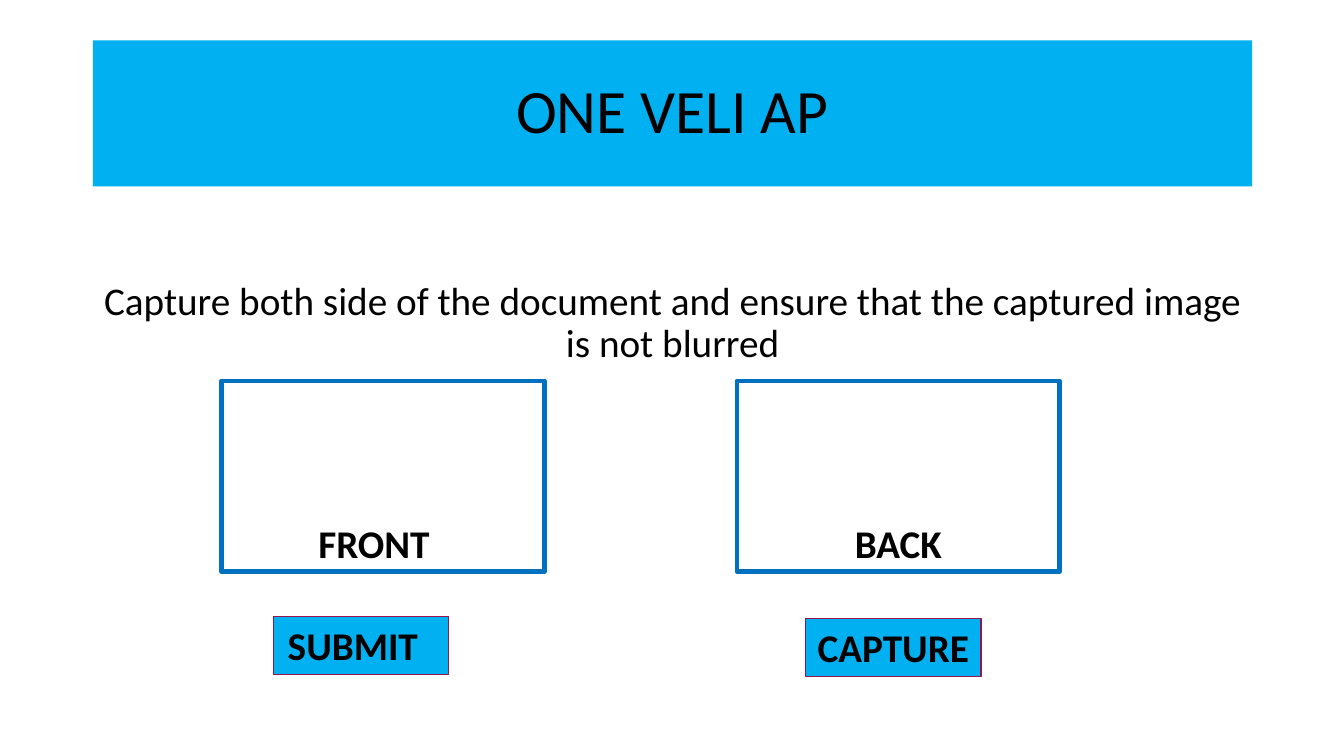
from pptx import Presentation
from pptx.dml.color import RGBColor
from pptx.enum.shapes import MSO_SHAPE
from pptx.enum.text import MSO_ANCHOR, PP_ALIGN
from pptx.util import Pt

PX = 9144  # 100 px to the inch
RECT = MSO_SHAPE.RECTANGLE
TOP, MIDDLE, BOTTOM = MSO_ANCHOR.TOP, MSO_ANCHOR.MIDDLE, MSO_ANCHOR.BOTTOM
CENTER = PP_ALIGN.CENTER
HUES = {"sky": "00B0F0", "blue": "0070C0", "wine": "97144D", "ink": "000000"}


def hue(name):
    return RGBColor.from_string(HUES[name])


def write(shape, text, size, anchor, bold=False, right=10):
    """Set centred text; right is the right inset in px."""
    frame = shape.text_frame
    look = {"word_wrap": True, "vertical_anchor": anchor,
            "margin_left": 10 * PX, "margin_right": right * PX,
            "margin_top": 5 * PX, "margin_bottom": 5 * PX}
    for key, value in look.items():
        setattr(frame, key, value)
    para = frame.paragraphs[0]
    para.alignment = CENTER
    para.line_spacing = 0.9
    run = para.add_run()
    run.text = text
    for key, value in {"name": "Calibri", "size": Pt(size), "bold": bold}.items():
        setattr(run.font, key, value)
    run.font.color.rgb = hue("ink")
    return para


deck = Presentation()
deck.slide_width, deck.slide_height = 1333 * PX, 750 * PX
slide = deck.slides.add_slide(deck.slide_layouts[5])
shapes = slide.shapes

title = shapes.title
place = {"left": 92, "top": 40, "width": 1150, "height": 145}
for key, value in place.items():
    setattr(title, key, value * PX)
title.fill.solid()
title.fill.fore_color.rgb = hue("sky")
write(title, "ONE VELI AP", 44, MIDDLE)

guide = shapes.add_textbox(92 * PX, 274 * PX, 1150 * PX, 476 * PX)
para = write(guide, "Capture both side of the document and ensure that "
             "the captured image is not blurred", 28, TOP)
para.space_before = Pt(10)

# text, left, top, width, height, fill, line, weight, right inset
boxes = [
    ("SUBMIT", 271, 612, 174, 57, "sky", "wine", 0.75, 26),
    ("CAPTURE", 799, 614, 174, 57, "sky", "wine", 0.75, 10),
    ("FRONT", 220, 378, 320, 189, None, "blue", 3.5, 28),
    ("BACK", 731, 378, 320, 189, None, "blue", 3.5, 10),
]
for text, left, top, width, height, fill, line, weight, right in boxes:
    box = shapes.add_shape(RECT, left * PX, top * PX, width * PX, height * PX)
    box.shadow.inherit = False
    if fill:
        box.fill.solid()
        box.fill.fore_color.rgb = hue(fill)
    else:
        box.fill.background()
    box.line.color.rgb = hue(line)
    box.line.width = Pt(weight)
    write(box, text, 28, BOTTOM, True, right)

deck.save("out.pptx")
